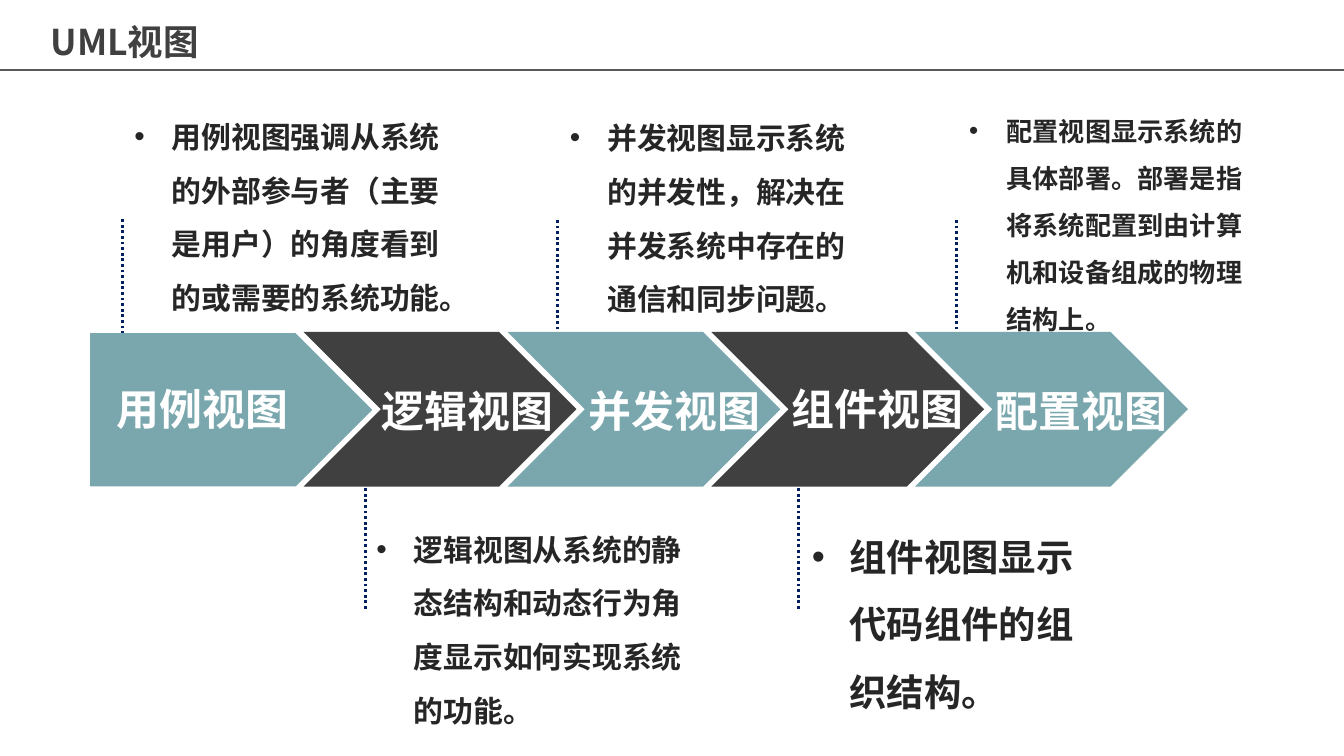
from lxml import etree
from pptx import Presentation
from pptx.dml.color import RGBColor
from pptx.enum.dml import MSO_LINE
from pptx.enum.shapes import MSO_CONNECTOR, MSO_SHAPE
from pptx.enum.text import MSO_AUTO_SIZE
from pptx.oxml.ns import qn
from pptx.util import Inches, Pt

STRAIGHT = MSO_CONNECTOR.STRAIGHT
CHEVRON = MSO_SHAPE.CHEVRON
PENTAGON = MSO_SHAPE.PENTAGON
DOTTED = MSO_LINE.ROUND_DOT
GROW = MSO_AUTO_SIZE.SHAPE_TO_FIT_TEXT

COLORS = {
    "title": "404040",
    "rule": "595959",
    "leader": "002060",
    "teal": "79A7AD",
    "dark": "404040",
    "label": "FFFFFF",
    "body": "262626",
}
INSETS = {
    "margin_left": Inches(0.09),
    "margin_right": Inches(0.09),
    "margin_top": Inches(0.05),
    "margin_bottom": Inches(0.05),
}
FIRST_CHEVRON = 2.26
LAST_CHEVRON = 6.81
CHEVRON_STEP = (LAST_CHEVRON - FIRST_CHEVRON) / 3

LEADERS = [
    (5.94, 4.53, 3.62),
    (2.72, 4.53, 3.6),
    (7.12, 2.66, 1.62),
    (4.15, 2.66, 1.62),
    (0.91, 2.82, 1.62),
]
LABELS = [
    ("用例视图", (0.78, 2.8, 1.72, 0.5)),
    ("逻辑视图", (2.75, 2.81, 1.58, 0.5)),
    ("并发视图", (4.29, 2.81, 1.49, 0.48)),
    ("组件视图", (5.8, 2.8, 1.47, 0.48)),
    ("配置视图", (7.32, 2.81, 1.47, 0.48)),
]
DESCRIPTIONS = [
    ("用例视图强调从系统的外部参与者（主要是用户）的角度看到的或需要的系统功能。",
     (0.91, 0.7, 2.66, 1.71), 16),
    ("逻辑视图从系统的静态结构和动态行为角度显示如何实现系统的功能。",
     (2.71, 3.77, 2.58, 1.71), 16),
    ("并发视图显示系统的并发性，解决在并发系统中存在的通信和同步问题。",
     (4.15, 0.71, 2.4, 1.71), 16),
    ("组件视图显示代码组件的组织结构。",
     (5.95, 3.76, 2.21, 1.61), 20),
    ("配置视图显示系统的具体部署。部署是指将系统配置到由计算机和设备组成的物理结构上。",
     (7.12, 0.69, 2.26, 1.86), 14),
]


def rgb(name):
    return RGBColor.from_string(COLORS[name])


class SlideBuilder:
    font = "Noto Sans CJK SC"

    def __init__(self, slide):
        self.slide = slide

    def line(self, start, end, color, width, dash=None):
        points = [Inches(value) for value in (*start, *end)]
        connector = self.slide.shapes.add_connector(STRAIGHT, *points)
        connector.line.color.rgb = rgb(color)
        connector.line.width = Pt(width)
        if dash is not None:
            connector.line.dash_style = dash
        etree.SubElement(connector._element.spPr, qn("a:effectLst"))

    def arrow(self, kind, frame, color):
        shape = self.slide.shapes.add_shape(kind, *map(Inches, frame))
        shape.shadow.inherit = False
        shape.adjustments[0] = 0.5
        shape.fill.solid()
        shape.fill.fore_color.rgb = rgb(color)
        shape.line.fill.background()

    def text(self, text, frame, size, color, **frame_format):
        box = self.slide.shapes.add_textbox(*map(Inches, frame))
        settings = {"word_wrap": True, "auto_size": GROW, **frame_format}
        for name, value in settings.items():
            setattr(box.text_frame, name, value)
        para = box.text_frame.paragraphs[0]
        span = para.add_run()
        span.text = text
        span.font.color.rgb = rgb(color)
        font_format = {"name": self.font, "size": Pt(size), "bold": True}
        for name, value in font_format.items():
            setattr(span.font, name, value)
        east_asian = etree.SubElement(span._r.get_or_add_rPr(), qn("a:ea"))
        east_asian.set("typeface", self.font)
        return para

    def bullet(self, text, frame, size):
        para = self.text(text, frame, size, "body", **INSETS)
        para.line_spacing = 1.5
        properties = para._p.get_or_add_pPr()
        properties.set("marL", str(Inches(0.28)))
        properties.set("indent", str(-Inches(0.28)))
        bullet_font = etree.SubElement(properties, qn("a:buFont"))
        bullet_font.set("typeface", "Arial")
        etree.SubElement(properties, qn("a:buChar")).set("char", "•")


def main():
    deck = Presentation()
    deck.slide_width = Inches(10)
    deck.slide_height = Inches(10 * 9 / 16)
    page = SlideBuilder(deck.slides.add_slide(deck.slide_layouts[6]))

    page.text("UML视图", (0.28, 0.1, 1.36, 0.42), 19, "title", word_wrap=False)
    page.line((-0.03, 0.52), (10, 0.52), "rule", 1)
    for x, start, end in LEADERS:
        page.line((x, start), (x, end), "leader", 1.5, DOTTED)

    page.arrow(PENTAGON, (0.67, 2.48, 2.1, 1.14), "teal")
    for index, color in enumerate(["dark", "teal"] * 2):
        left = FIRST_CHEVRON + index * CHEVRON_STEP
        page.arrow(CHEVRON, (left, 2.47, 2.03, 1.15), color)

    for label, frame in LABELS:
        page.text(label, frame, 23, "label", **INSETS)
    for description, frame, size in DESCRIPTIONS:
        page.bullet(description, frame, size)

    deck.save("out.pptx")


if __name__ == "__main__":
    main()
